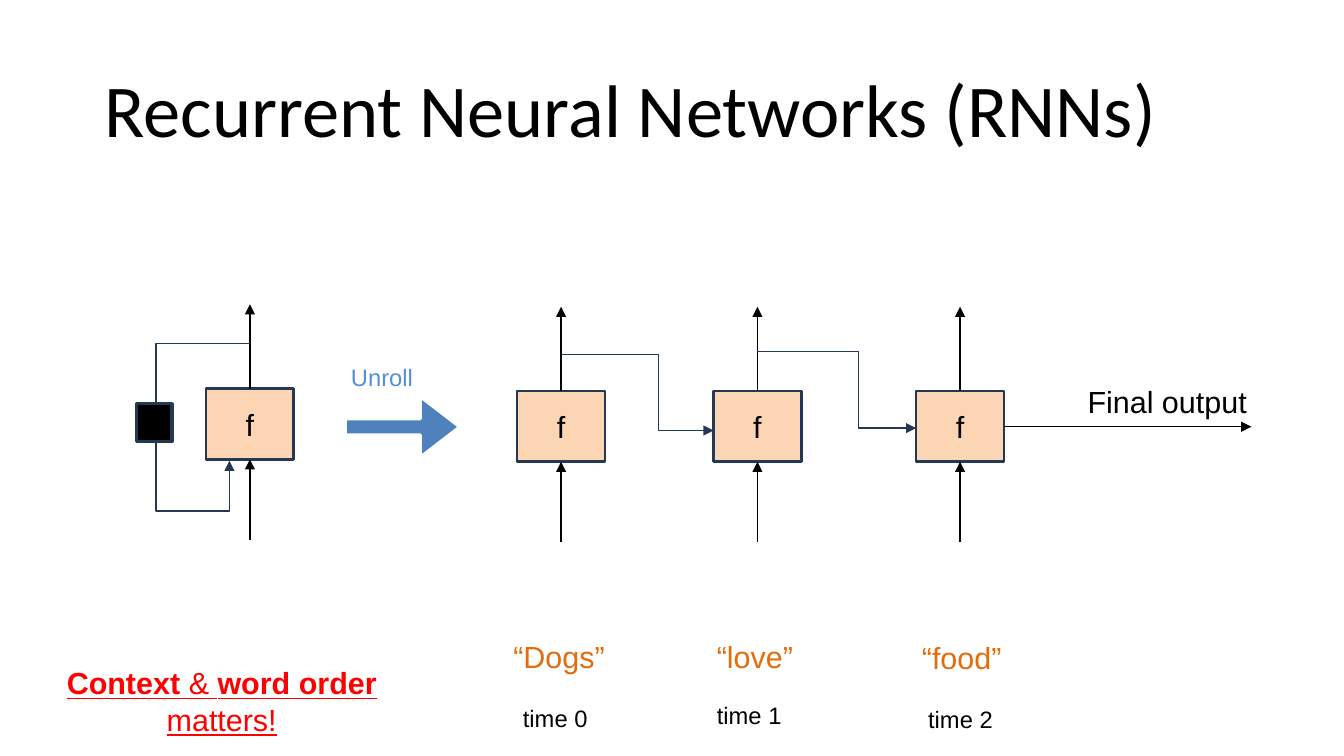
from dataclasses import dataclass

from pptx import Presentation
from pptx.dml.color import RGBColor
from pptx.enum.shapes import MSO_CONNECTOR as Connector, MSO_SHAPE as Preset
from pptx.enum.text import MSO_ANCHOR as Anchor, PP_ALIGN as Align
from pptx.oxml.ns import qn
from pptx.util import Cm, Pt
from lxml.etree import SubElement


@dataclass(frozen=True)
class Theme:
    title_font: str = "Calibri"
    body_font: str = "Arial"
    title_size: float = 44
    body_size: float = 18
    small_size: float = 14
    black: str = "000000"
    white: str = "FFFFFF"
    navy: str = "233953"
    peach: str = "FCD5B5"
    orange: str = "E46C0A"
    blue: str = "4F81BD"
    light_blue: str = "558ED5"
    red: str = "FF0000"


THEME = Theme()

# All lengths are in centimetres.
SLIDE_SIZE = (27.99, 15.75)
TITLE = "Recurrent Neural Networks (RNNs)"
TITLE_BOX = (1.93, 0.84, 24.16, 3.05)

CELL_WIDTH, CELL_HEIGHT = 1.83, 1.47
INPUT_LENGTH, OUTPUT_LENGTH = 1.68, 1.76
FOLDED_CELL = (4.29, 8.1)
UNROLLED_TOP = 8.15
MEMORY_BOX = (2.84, 8.41, 0.74, 0.79)
LOOP = [(5.2, 7.16), (3.25, 7.16), (3.25, 10.64), (4.78, 10.64), (4.78, 9.6)]

# cell left, word, word box, time label, time box
STEPS = [
    (10.77, "“Dogs”", (10.44, 13.16, 2.44, 1.02), "time 0", (10.64, 14.53, 1.85, 0.86)),
    (14.86, "“love”", (14.68, 13.16, 2.11, 1.02), "time 1", (14.68, 14.48, 1.85, 0.86)),
    (19.08, "“food”", (18.95, 13.18, 2.18, 1.02), "time 2", (19.08, 14.55, 1.85, 0.86)),
]
# bend x, leaving y, entering y
CARRIES = [(13.72, 7.39, 8.97), (17.88, 7.32, 8.92)]

UNROLL_ARROW = (7.19, 8.26, 2.39, 1.27)
UNROLL_LABEL = ("Unroll", (7.06, 7.44, 1.8, 0.86))
FINAL_LABEL = ("Final output", (22.4, 7.85, 3.86, 1.02))
FINAL_Y, FINAL_END = 8.89, 26.06
TAKEAWAY = [("Context", True), (" & ", False), ("word", True), (" ", False),
            ("order", True), (" matters!", False)]
TAKEAWAY_BOX = (0.86, 13.72, 7.52, 1.8)


def rgb(color):
    return RGBColor.from_string(color)


def write(shape, text, *, size=THEME.body_size, font=THEME.body_font, color=THEME.black,
          align=Align.LEFT, anchor=Anchor.TOP, wrap=True, underline=None, spacing=None):
    """Fill a shape with text: a string, or a list of (text, bold) runs."""
    frame = shape.text_frame
    frame.word_wrap = wrap
    frame.vertical_anchor = anchor
    paragraph = frame.paragraphs[0]
    paragraph.alignment = align
    if spacing:
        paragraph.line_spacing = spacing
    for content, bold in [(text, None)] if isinstance(text, str) else text:
        run = paragraph.add_run()
        run.text = content
        run.font.name, run.font.size = font, Pt(size)
        run.font.color.rgb = rgb(color)
        run.font.bold, run.font.underline = bold, underline


def add_text(slide, box, text, **style):
    write(slide.shapes.add_textbox(*map(Cm, box)), text, **style)


def add_block(slide, preset, box, fill, line, width):
    shape = slide.shapes.add_shape(preset, *map(Cm, box))
    shape.shadow.inherit = False
    shape.fill.solid()
    shape.fill.fore_color.rgb = rgb(fill)
    shape.line.color.rgb = rgb(line)
    shape.line.width = Pt(width)
    return shape


def finish_arrow(shape, color, width):
    """Style a line, give it an arrowhead at its end and remove its shadow."""
    shape.line.color.rgb = rgb(color)
    shape.line.width = Pt(width)
    properties = shape.element.spPr
    SubElement(properties.find(qn("a:ln")), qn("a:tailEnd"), type="triangle")
    if properties.find(qn("a:effectLst")) is None:
        SubElement(properties, qn("a:effectLst"))


def add_arrow(slide, start, end):
    points = map(Cm, (*start, *end))
    arrow = slide.shapes.add_connector(Connector.STRAIGHT, *points)
    finish_arrow(arrow, THEME.black, 0.75)


def add_bent_arrow(slide, points, width):
    first, *others = [(Cm(x), Cm(y)) for x, y in points]
    builder = slide.shapes.build_freeform(*first)
    builder.add_line_segments(others, close=False)
    shape = builder.convert_to_shape()
    shape.fill.background()
    finish_arrow(shape, THEME.navy, width)


def add_cell(slide, left, top):
    """Draw one f cell with its input and output arrows."""
    box = (left, top, CELL_WIDTH, CELL_HEIGHT)
    cell = add_block(slide, Preset.RECTANGLE, box, THEME.peach, THEME.navy, 1.5)
    write(cell, "f", align=Align.CENTER, anchor=Anchor.MIDDLE)
    center, bottom = left + CELL_WIDTH / 2, top + CELL_HEIGHT
    add_arrow(slide, (center, bottom + INPUT_LENGTH), (center, bottom))
    add_arrow(slide, (center, top), (center, top - OUTPUT_LENGTH))


def add_folded_network(slide):
    add_cell(slide, *FOLDED_CELL)
    add_bent_arrow(slide, LOOP, 1)
    add_block(slide, Preset.RECTANGLE, MEMORY_BOX, THEME.black, THEME.navy, 2)


def add_unroll_arrow(slide):
    arrow = add_block(slide, Preset.RIGHT_ARROW, UNROLL_ARROW, THEME.blue, THEME.white, 2)
    arrow.adjustments[0], arrow.adjustments[1] = 0.27, 0.65
    label, box = UNROLL_LABEL
    add_text(slide, box, label, size=THEME.small_size, color=THEME.light_blue, wrap=False)


def add_unrolled_network(slide):
    for left, word, word_box, time, time_box in STEPS:
        add_cell(slide, left, UNROLLED_TOP)
        add_text(slide, word_box, word, color=THEME.orange, wrap=False)
        add_text(slide, time_box, time, size=THEME.small_size, wrap=False)
    lefts = [step[0] for step in STEPS]
    for left, following, (bend, leave, enter) in zip(lefts, lefts[1:], CARRIES):
        center = left + CELL_WIDTH / 2
        route = [(center, leave), (bend, leave), (bend, enter), (following, enter)]
        add_bent_arrow(slide, route, 0.75)
    add_arrow(slide, (lefts[-1] + CELL_WIDTH, FINAL_Y), (FINAL_END, FINAL_Y))
    label, box = FINAL_LABEL
    add_text(slide, box, label, wrap=False)


def main():
    presentation = Presentation()
    presentation.slide_width, presentation.slide_height = map(Cm, SLIDE_SIZE)
    slide = presentation.slides.add_slide(presentation.slide_layouts[6])
    add_text(slide, TITLE_BOX, TITLE, size=THEME.title_size, font=THEME.title_font,
             anchor=Anchor.MIDDLE, spacing=0.9)
    add_folded_network(slide)
    add_unroll_arrow(slide)
    add_unrolled_network(slide)
    add_text(slide, TAKEAWAY_BOX, TAKEAWAY, color=THEME.red, align=Align.CENTER,
             underline=True)
    presentation.save("out.pptx")


if __name__ == "__main__":
    main()
